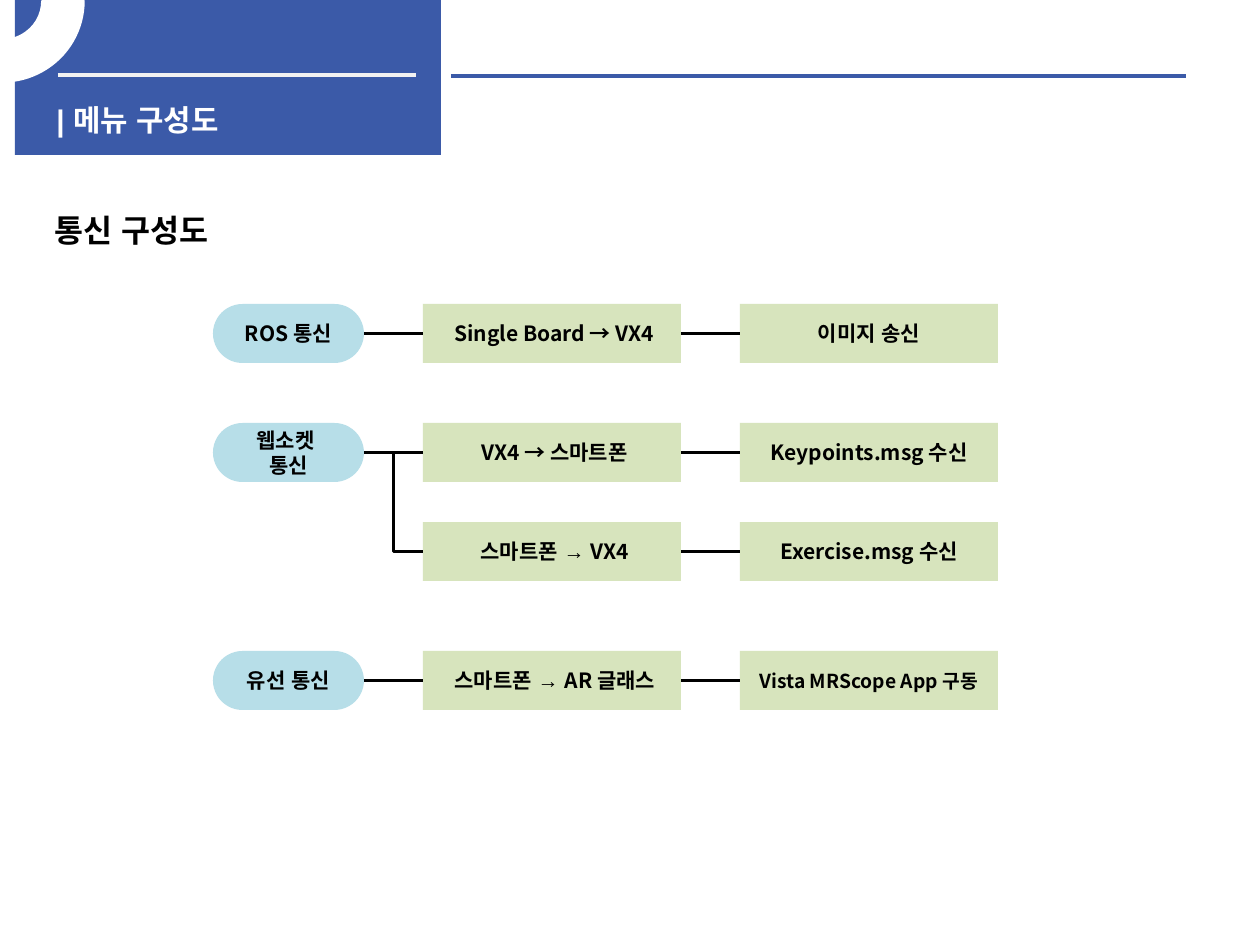
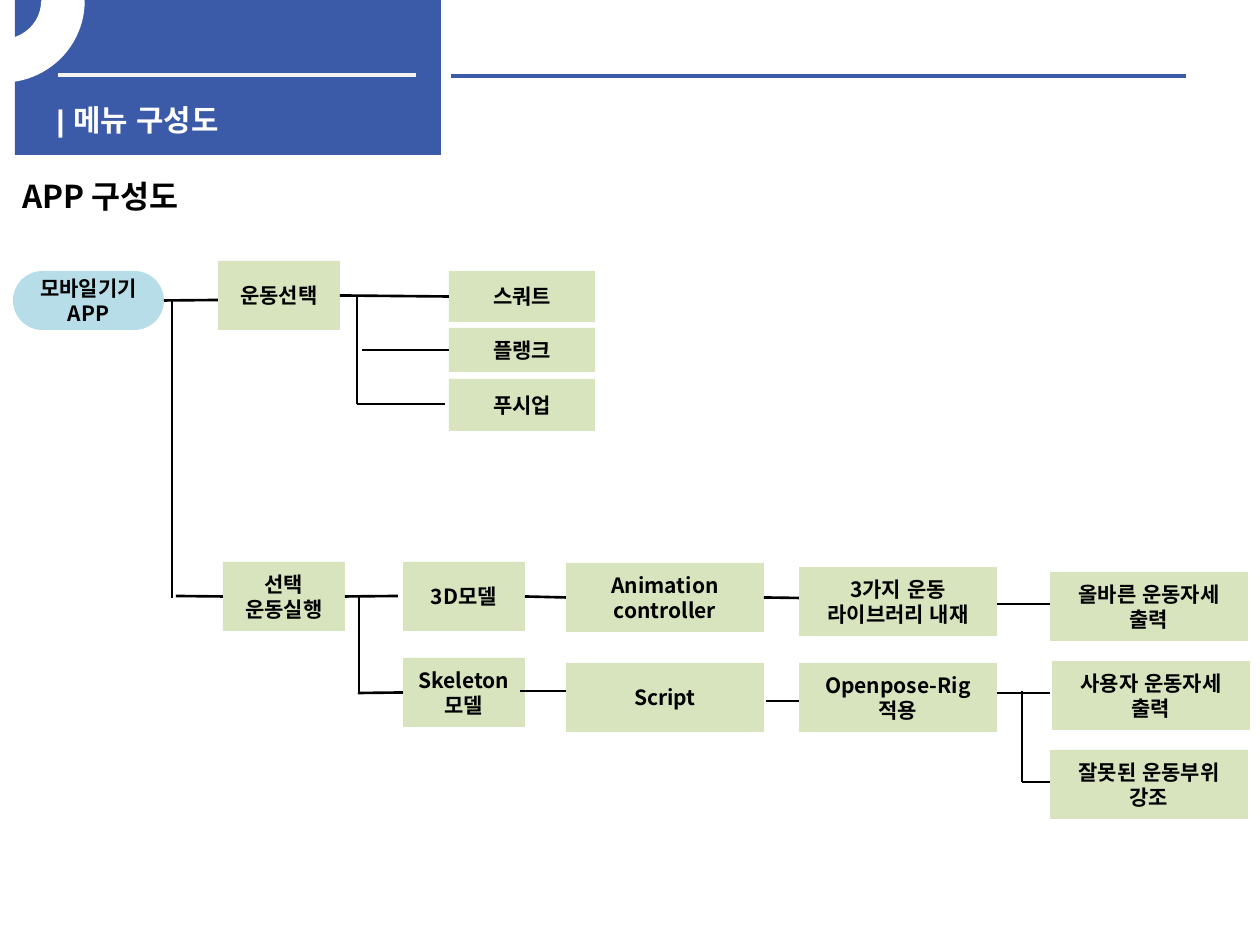
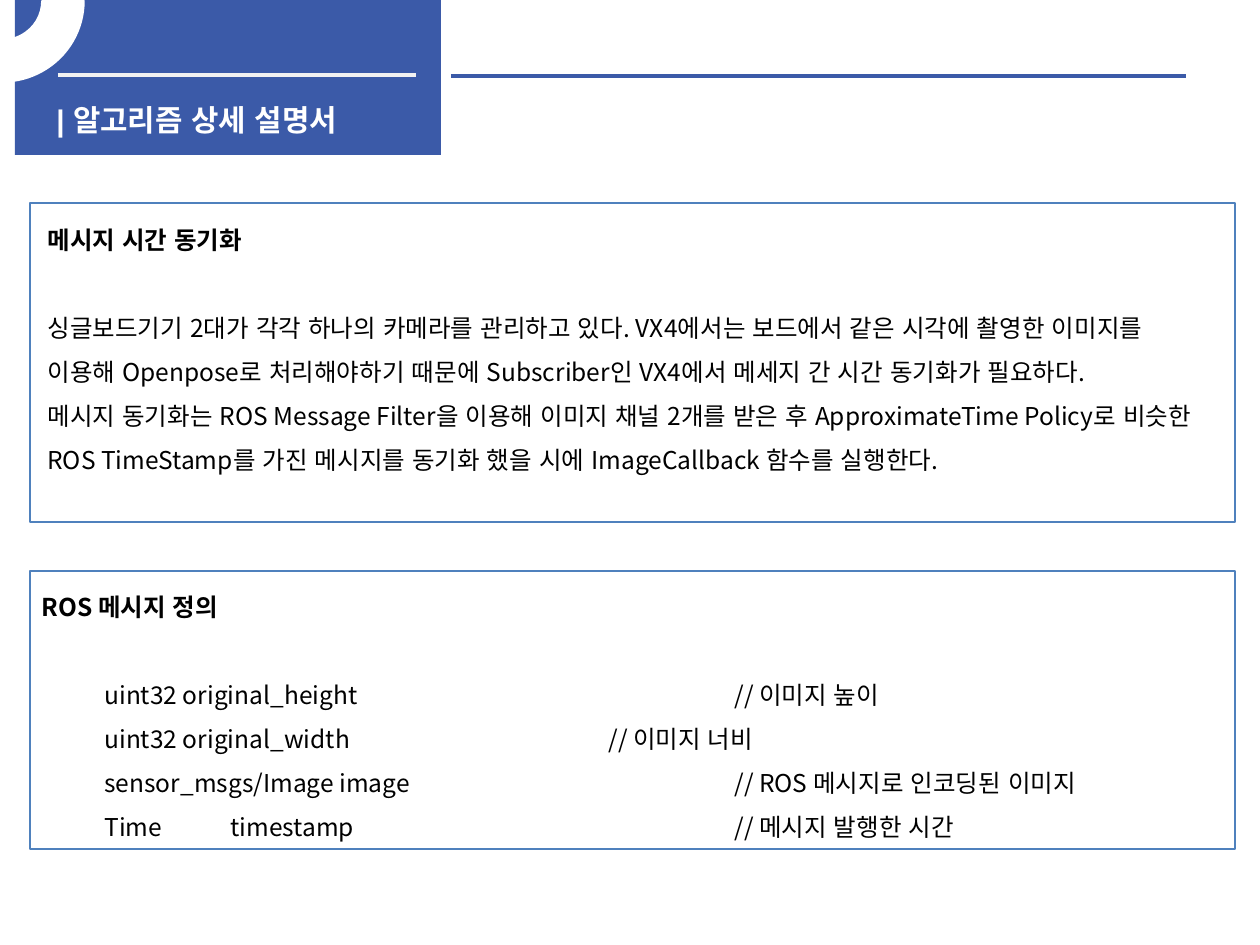
from lxml.etree import SubElement
from pptx import Presentation
from pptx.dml.color import RGBColor
from pptx.enum.shapes import MSO_CONNECTOR, MSO_SHAPE
from pptx.enum.text import MSO_ANCHOR, PP_ALIGN
from pptx.oxml.ns import qn
from pptx.util import Emu, Pt

# Shared style
PX = 914400 / 126
BLUE = RGBColor(0x3B, 0x5A, 0xA8)
OUTLINE = RGBColor(0x4F, 0x81, 0xBD)
SKY = RGBColor(0xB7, 0xDE, 0xE8)
GREEN = RGBColor(0xD7, 0xE4, 0xBD)
PALE = RGBColor(0xF2, 0xF2, 0xF2)
WHITE = RGBColor(0xFF, 0xFF, 0xFF)
BLACK = RGBColor(0, 0, 0)
TITLE_FONT = "Arial"
BODY_FONT = "Noto Sans CJK KR"
EAST_ASIAN_FONT = "Arial"
TAB_WIDTH = 126

# Slide 1: communication rows (top, pill lines, route, message, message size)
LINK_ROWS = [
    (304, ["ROS 통신"], " Single Board → VX4", "이미지 송신", 12),
    (423, ["웹소켓 ", "통신"], " VX4 → 스마트폰", "Keypoints.msg 수신", 12),
    (522, None, " 스마트폰 → VX4", "Exercise.msg 수신", 12),
    (651, ["유선 통신"], " 스마트폰 → AR 글래스", "Vista MRScope App 구동", 11),
]
PILL_SIZE = (151, 59)
ROW_HEIGHT, ROUTE_WIDTH = 59, 258
PILL_LEFT, ROUTE_LEFT, MESSAGE_LEFT = 213, 423, 740

# Slide 2: app tree, boxes grouped by size as name: (lines, left, top)
APP_GROUPS = [
    ((122, 69), {
        "choose": (["운동선택"], 218, 261),
        "run": (["선택 운동실행"], 223, 562),
        "model": (["3D모델"], 403, 562),
        "skeleton": (["Skeleton모델"], 403, 658),
    }),
    ((198, 69), {
        "animation": (["Animation controller"], 566, 563),
        "script": (["Script"], 566, 663),
        "library": (["3가지 운동 라이브러리 내재"], 799, 567),
        "rig": (["Openpose-Rig", "적용"], 799, 663),
        "correct": (["올바른 운동자세 출력"], 1050, 572),
        "user": (["사용자 운동자세 출력"], 1052, 661),
        "wrong": (["잘못된 운동부위 강조"], 1050, 750),
    }),
    ((146, 51), {"squat": (["스쿼트"], 449, 271)}),
    ((146, 44), {"plank": (["플랭크"], 449, 328)}),
    ((146, 52), {"pushup": (["푸시업"], 449, 379)}),
]
# Each end is a box name (joined at its side) or a point
APP_LINKS = [
    ("app", (218, 300)), ((172, 301), (172, 598)), ((176, 596), "run"),
    ("choose", "squat"), ((357, 296), (357, 404)),
    ((362, 350), "plank"), ((357, 404), (445, 404)),
    ("run", (398, 596)), ((359, 596), (359, 693)), ((358, 693), "skeleton"),
    ("model", "animation"), ((520, 691), (566, 691)),
    ("animation", (799, 598)), ((766, 701), (799, 701)),
    ((997, 604), (1050, 604)), ((997, 693), (1050, 693)),
    ((1022, 691), (1022, 782)), ((1022, 782), (1050, 782)),
]

# Slide 3: panels (frame, text box, heading, body indent, body)
PANELS = [
    ((30, 203, 1205, 319), (35, 204, 1195, 319), "메시지 시간 동기화", 0, [
        "싱글보드기기 2대가 각각 하나의 카메라를 관리하고 있다. VX4에서는 보드에서 같은 시각에 "
        "촬영한 이미지를 이용해 Openpose로 처리해야하기 때문에 Subscriber인 VX4에서 "
        "메세지 간 시간 동기화가 필요하다.",
        "메시지 동기화는 ROS Message Filter을 이용해 이미지 채널 2개를 받은 후 "
        "ApproximateTime Policy로 비슷한 ROS TimeStamp를 가진 메시지를 동기화 했을 시에 "
        "ImageCallback 함수를 실행한다.",
    ]),
    ((30, 571, 1205, 278), (29, 571, 1201, 275), "ROS 메시지 정의", 63, [
        "uint32 original_height\t\t\t// 이미지 높이",
        "uint32 original_width\t\t\t// 이미지 너비",
        "sensor_msgs/Image image\t\t\t// ROS 메시지로 인코딩된 이미지",
        "Time\ttimestamp\t\t\t\t// 메시지 발행한 시간",
    ]),
]


def px(value):
    return Emu(round(value * PX))


def add_span(para, text, size, color=BLACK, bold=True, font=BODY_FONT):
    span = para.add_run()
    span.text = text
    span.font.size = Pt(size)
    span.font.bold = bold
    span.font.color.rgb = color
    span.font.name = font
    SubElement(span.font._element, qn("a:ea")).set("typeface", EAST_ASIAN_FONT)


def add_paras(frame, count):
    return [frame.paragraphs[0]] + [frame.add_paragraph() for _ in range(count - 1)]


def add_box(page, kind, area, fill=None, line=None, width=0.75):
    box = page.shapes.add_shape(kind, *map(px, area))
    box.shadow.inherit = False
    if fill is None:
        box.fill.background()
    else:
        box.fill.solid()
        box.fill.fore_color.rgb = fill
    if line is None:
        box.line.fill.background()
    else:
        box.line.color.rgb = line
        box.line.width = Pt(width)
    return box


def add_node(page, lines, area, pill=False, size=12):
    kind = MSO_SHAPE.ROUNDED_RECTANGLE if pill else MSO_SHAPE.RECTANGLE
    box = add_box(page, kind, area, SKY if pill else GREEN)
    if pill:
        box.adjustments[0] = 0.5
    frame = box.text_frame
    frame.word_wrap = True
    frame.vertical_anchor = MSO_ANCHOR.MIDDLE
    for para, text in zip(add_paras(frame, len(lines)), lines):
        para.alignment = PP_ALIGN.CENTER
        add_span(para, text, size)
    return box


def add_line(page, start, end, color=BLACK, width=1.5, kind=MSO_CONNECTOR.STRAIGHT):
    """Draw from a point or a box's right side to a point or a box's left side."""
    points = [px(value) for place in (start, end)
              for value in (place if isinstance(place, tuple) else (0, 0))]
    line = page.shapes.add_connector(kind, *points)
    if not isinstance(start, tuple):
        line.begin_connect(start, 3)
    if not isinstance(end, tuple):
        line.end_connect(end, 1)
    line.line.color.rgb = color
    line.line.width = Pt(width)
    SubElement(line._element.spPr, qn("a:effectLst"))


def add_text_box(page, area, wrap=True):
    frame = page.shapes.add_textbox(*map(px, area)).text_frame
    frame.word_wrap = wrap
    return frame


def add_page(deck, title):
    page = deck.slides.add_slide(deck.slide_layouts[6])
    add_box(page, MSO_SHAPE.RECTANGLE, (15, 0, 426, 155), BLUE)
    add_line(page, (58, 75), (416, 75), PALE, 2.25)
    add_line(page, (451, 76), (1186, 76), BLUE, 2.25)
    frame = add_text_box(page, (44, 96, 400, 40))
    add_span(frame.paragraphs[0], f"| {title}", 17, WHITE, font=TITLE_FONT)
    # Quarter ring in the corner
    ring = add_box(page, MSO_SHAPE.BLOCK_ARC, (-79, -79, 162, 160), WHITE, WHITE, 2)
    for index, value in enumerate((0, 54.41, 0.25)):
        ring.adjustments[index] = value
    return page


def add_heading(page, text, area):
    add_span(add_text_box(page, area, wrap=False).paragraphs[0], text, 18)


def build_links(deck):
    page = add_page(deck, "메뉴 구성도")
    add_heading(page, "통신 구성도", (42, 205, 195, 50))
    source = None
    for top, pill, route, message, size in LINK_ROWS:
        kind = MSO_CONNECTOR.STRAIGHT if pill else MSO_CONNECTOR.ELBOW
        if pill:
            source = add_node(page, pill, (PILL_LEFT, top, *PILL_SIZE), pill=True)
        middle = add_node(page, [route], (ROUTE_LEFT, top, ROUTE_WIDTH, ROW_HEIGHT))
        target = add_node(page, [message], (MESSAGE_LEFT, top, ROUTE_WIDTH, ROW_HEIGHT),
                          size=size)
        add_line(page, source, middle, kind=kind)
        add_line(page, middle, target)


def build_app_tree(deck):
    page = add_page(deck, "메뉴 구성도")
    add_heading(page, "APP 구성도", (10, 171, 194, 50))
    nodes = {"app": add_node(page, ["모바일기기 APP"], (13, 271, *PILL_SIZE), pill=True)}
    for size, group in APP_GROUPS:
        for name, (lines, left, top) in group.items():
            nodes[name] = add_node(page, lines, (left, top, *size))
    for start, end in APP_LINKS:
        add_line(page, nodes.get(start, start), nodes.get(end, end))


def build_details(deck):
    page = add_page(deck, "알고리즘 상세 설명서")
    for border, area, heading, indent, body in PANELS:
        add_box(page, MSO_SHAPE.RECTANGLE, border, line=OUTLINE)
        head, *rest = add_paras(add_text_box(page, area), len(body) + 1)
        head.line_spacing = 1.5
        head.space_after = Pt(25)
        add_span(head, heading, 14)
        for para, text in zip(rest, body):
            para.line_spacing = 1.5
            properties = para._p.get_or_add_pPr()
            properties.set("marL", str(px(indent)))
            properties.set("defTabSz", str(px(TAB_WIDTH)))
            add_span(para, text, 14, bold=False)


def main():
    deck = Presentation()
    deck.slide_width, deck.slide_height = px(1260), px(945)
    build_links(deck)
    build_app_tree(deck)
    build_details(deck)
    deck.save("out.pptx")


if __name__ == "__main__":
    main()
